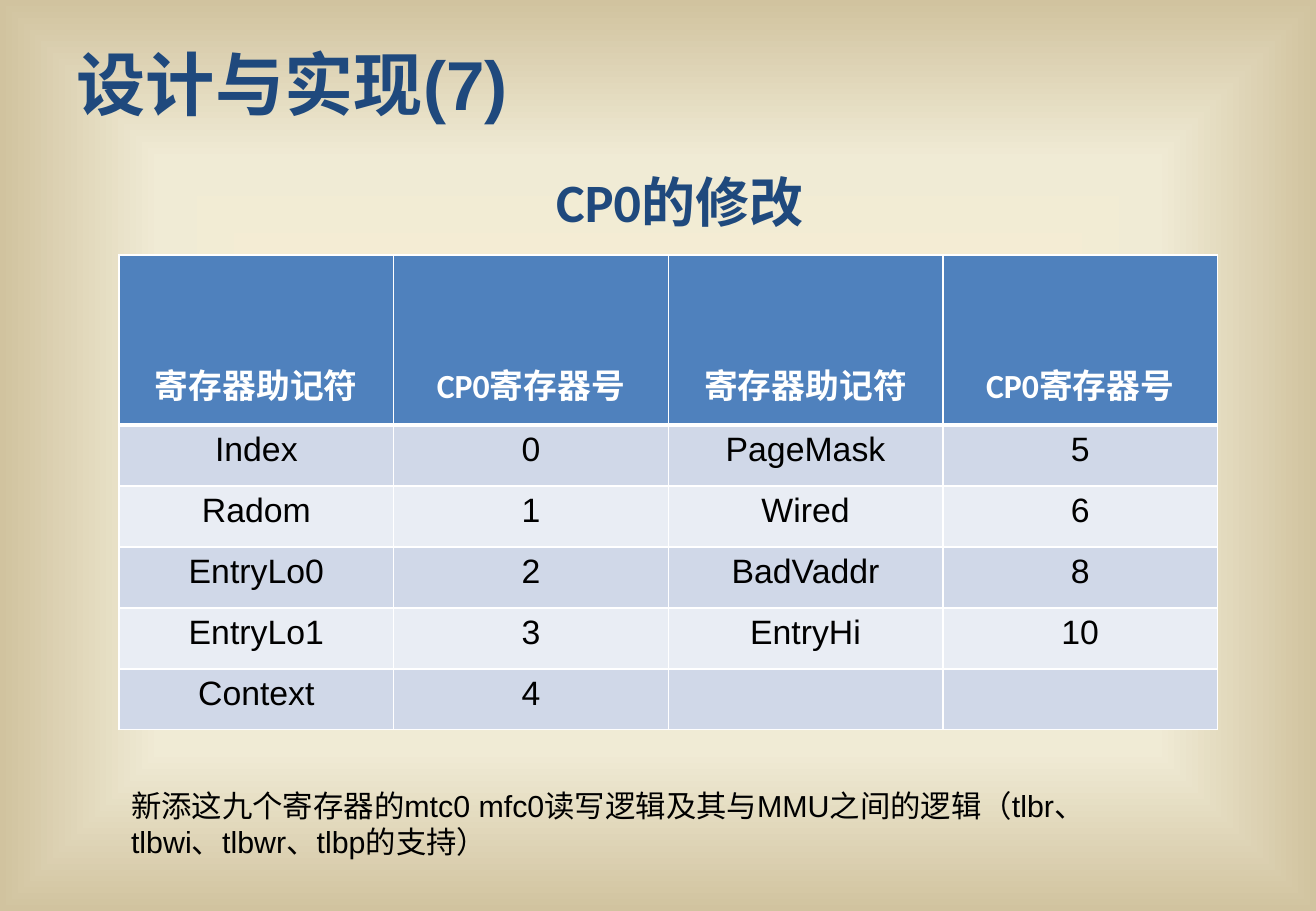
"""Build the slide on the CP0 register changes."""
from dataclasses import dataclass

from pptx import Presentation, oxml, util as u
from pptx.dml.color import RGBColor
from pptx.enum import text
from pptx.oxml import ns


@dataclass(frozen=True)
class Theme:
    """Colours, fonts and type sizes of the deck."""
    navy: str = "1F497D"
    black: str = "000000"
    white: str = "FFFFFF"
    header: str = "4F81BD"
    bands: tuple = ("D0D8E8", "E9EDF4")
    glow: tuple = ((0, "FFEFD1"), (65, "F0EBD5"), (100, "D1C39F"))
    heading: str = "Calibri"
    body: str = "Arial"
    title_size: int = 41
    subtitle_size: int = 32
    cell_size: int = 20
    note_size: int = 18


THEME = Theme()
LABELS = [("寄存器助记符", THEME.body), ("CP0寄存器号", THEME.heading)] * 2
REGISTERS = [
    ("Index", "0", "PageMask", "5"),
    ("Radom", "1", "Wired", "6"),
    ("EntryLo0", "2", "BadVaddr", "8"),
    ("EntryLo1", "3", "EntryHi", "10"),
    ("Context", "4", "", ""),
]


def cm_box(*lengths):
    """Turn left, top, width and height in centimetres into lengths."""
    return tuple(u.Cm(length) for length in lengths)


def add_span(para, words, font, size, color, bold=False):
    """Add one formatted run to a paragraph."""
    span = para.add_run()
    span.text = words
    span.font.name = font
    span.font.size = u.Pt(size)
    span.font.bold = bold
    span.font.color.rgb = RGBColor.from_string(color)


def paint_background(page):
    """Give the page a gradient that spreads from its centre."""
    stops = "".join(
        f'<a:gs pos="{pos * 1000}"><a:srgbClr val="{color}"/></a:gs>'
        for pos, color in THEME.glow)
    page.element.cSld.insert(0, oxml.parse_xml(
        f'<p:bg {ns.nsdecls("p", "a")}><p:bgPr><a:gradFill rotWithShape="1">'
        f'<a:gsLst>{stops}</a:gsLst><a:path path="shape">'
        '<a:fillToRect l="50000" t="50000" r="50000" b="50000"/></a:path>'
        '</a:gradFill><a:effectLst/></p:bgPr></p:bg>'))


def place_title(page, box):
    """Move the title placeholder into the box and fill it."""
    title = page.shapes.title
    title.left, title.top, title.width, title.height = box
    frame = title.text_frame
    frame.auto_size = text.MSO_AUTO_SIZE.SHAPE_TO_FIT_TEXT
    frame.vertical_anchor = text.MSO_ANCHOR.TOP
    para = frame.paragraphs[0]
    para.alignment = text.PP_ALIGN.LEFT
    for words, font in (("设计与实现", THEME.heading), ("(7)", THEME.body)):
        add_span(para, words, font, THEME.title_size, THEME.navy, True)


def add_label(page, box, words, align, **style):
    """Add a wrapping text box with a single run."""
    frame = page.shapes.add_textbox(*box).text_frame
    frame.word_wrap = True
    frame.auto_size = text.MSO_AUTO_SIZE.SHAPE_TO_FIT_TEXT
    para = frame.paragraphs[0]
    para.alignment = align
    add_span(para, words, **style)


def style_cell(cell, fill, top, bottom):
    """Fill a cell and draw its white borders, widths in points."""
    cell.margin_left = cell.margin_right = u.Cm(0.28)
    cell.margin_top = cell.margin_bottom = u.Cm(0.13)
    cell.fill.solid()
    cell.fill.fore_color.rgb = RGBColor.from_string(fill)
    sides = (("L", 1), ("R", 1), ("T", top), ("B", bottom))
    for place, (side, width) in enumerate(sides):
        cell._tc.get_or_add_tcPr().insert(place, oxml.parse_xml(
            f'<a:ln{side} {ns.nsdecls("a")} w="{u.Pt(width)}"><a:solidFill>'
            f'<a:srgbClr val="{THEME.white}"/></a:solidFill></a:ln{side}>'))


def add_register_table(page, box, header_height):
    """Add the register table with equal columns and equal body rows."""
    rows = [LABELS] + [[(words, THEME.body) for words in row] for row in REGISTERS]
    table = page.shapes.add_table(len(rows), len(LABELS), *box).table
    for column in table.columns:
        column.width = box[2] // len(LABELS)
    for index, row in enumerate(rows):
        is_header = index == 0
        table.rows[index].height = (
            header_height if is_header
            else (box[3] - header_height) // len(REGISTERS))
        fill = THEME.header if is_header else THEME.bands[(index - 1) % 2]
        color = THEME.white if is_header else THEME.black
        for position, (words, font) in enumerate(row):
            cell = table.cell(index, position)
            style_cell(cell, fill, 3 if index == 1 else 1, 3 if is_header else 1)
            para = cell.text_frame.paragraphs[0]
            para.alignment = text.PP_ALIGN.CENTER
            if is_header:
                para.line_spacing = 3.0
            if words:
                add_span(para, words, font, THEME.cell_size, color, is_header)


def build_register_slide(deck):
    """Add the title-only page and place its regions."""
    page = deck.slides.add_slide(deck.slide_layouts.get_by_name("Title Only"))
    paint_background(page)
    place_title(page, cm_box(1.35, 0.74, 23.39, 2.01))
    add_label(page, cm_box(7.16, 3.4, 14.1, 1.63), "CP0的修改",
              text.PP_ALIGN.CENTER, font=THEME.heading,
              size=THEME.subtitle_size, color=THEME.navy, bold=True)
    add_register_table(page, cm_box(2.49, 5.33, 22.96, 9.93), u.Cm(3.56))
    add_label(page, cm_box(2.49, 16.33, 21.46, 1.8),
              "新添这九个寄存器的mtc0 mfc0读写逻辑及其与MMU之间的逻辑"
              "（tlbr、tlbwi、tlbwr、tlbp的支持）",
              text.PP_ALIGN.LEFT, font=THEME.body,
              size=THEME.note_size, color=THEME.black)


def main():
    """Create the deck and save it."""
    deck = Presentation()
    deck.slide_width, deck.slide_height = u.Cm(27.51), u.Cm(19.05)
    build_register_slide(deck)
    deck.save("out.pptx")


main()
